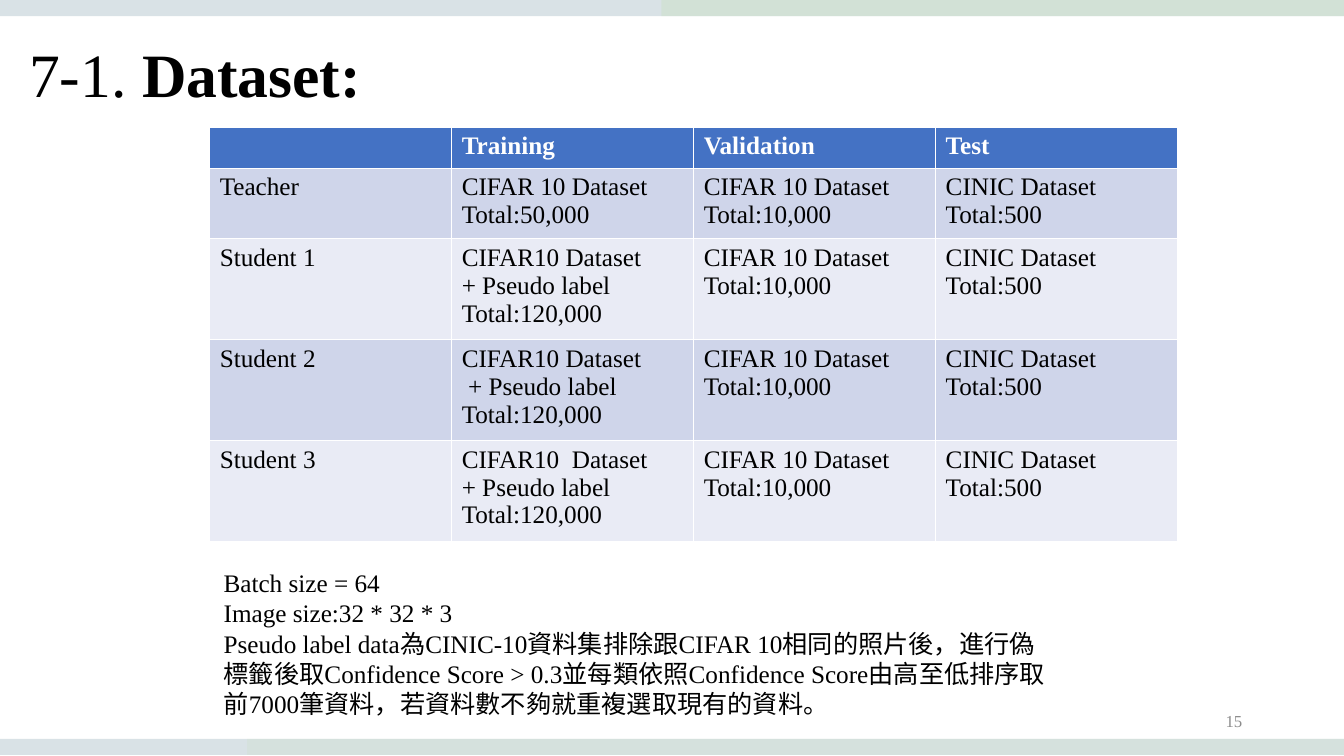
from lxml import etree
from pptx import Presentation
from pptx import util as u
from pptx.dml.color import RGBColor
from pptx.enum import shapes, text
from pptx.oxml import ns

WIDTH, HEIGHT = 13.33, 7.5
FONT = "Times New Roman"
BLACK = RGBColor(0x00, 0x00, 0x00)
WHITE = RGBColor(0xFF, 0xFF, 0xFF)
GREY = RGBColor(0x8C, 0x8C, 0x8C)
NAVY = RGBColor(0x00, 0x3D, 0x59)
GREEN = RGBColor(0xC5, 0xE0, 0xB4)
HEADER = RGBColor(0x44, 0x72, 0xC4)
BANDS = [RGBColor(0xE9, 0xEB, 0xF5), RGBColor(0xCF, 0xD5, 0xEA)]

TITLE = ["7-1.", " Dataset:"]
PAGE = "15"
VALIDATION = "CIFAR 10 Dataset\nTotal:10,000"
TEST = "CINIC Dataset\nTotal:500"
ROWS = [
    ["", "Training", "Validation", "Test"],
    ["Teacher", "CIFAR 10 Dataset\nTotal:50,000", VALIDATION, TEST],
    ["Student 1", "CIFAR10 Dataset\n+ Pseudo label\nTotal:120,000", VALIDATION, TEST],
    ["Student 2", "CIFAR10 Dataset\n + Pseudo label\nTotal:120,000", VALIDATION, TEST],
    ["Student 3", "CIFAR10  Dataset\n+ Pseudo label\nTotal:120,000", VALIDATION, TEST],
]
NOTES = [
    "Batch size = 64",
    "Image size:32 * 32 * 3",
    "Pseudo label data為CINIC-10資料集排除跟CIFAR 10相同的照片後，進行偽標籤後取"
    "Confidence Score > 0.3並每類依照Confidence Score由高至低排序取前7000筆資料，"
    "若資料數不夠就重複選取現有的資料。",
]
BAR_HEIGHT = 0.16
BARS = [
    (0, 7.33, NAVY, 15),
    (2.45, 7.33, GREEN, 16),
    (0, 0, NAVY, 15),
    (6.56, 0, GREEN, 30),
]
TABLE_LEFT, TABLE_TOP, COLUMN = 2.08, 1.26, 2.4
LINE, CELL_PADDING, MIN_ROW = 0.28, 0.1, 0.41


def style(tf, size, color, bold=False):
    for p in tf.paragraphs:
        for r in p.runs:
            r.font.name, r.font.size, r.font.bold = FONT, u.Pt(size), bold
            r.font.color.rgb = color


def add_text(slide, box, content, size, color, anchor=text.MSO_ANCHOR.TOP):
    tf = slide.shapes.add_textbox(*map(u.Inches, box)).text_frame
    tf.word_wrap = True
    tf.vertical_anchor = anchor
    tf.text = content
    style(tf, size, color)
    return tf


def add_bar(slide, left, top, color, opacity):
    sp = slide.shapes.add_shape(
        shapes.MSO_SHAPE.RECTANGLE,
        *map(u.Inches, (left, top, WIDTH - left, BAR_HEIGHT)))
    sp.shadow.inherit = False
    sp.line.fill.background()
    sp.fill.solid()
    sp.fill.fore_color.rgb = color
    tint = sp.fill._xPr.find(".//" + ns.qn("a:srgbClr"))
    etree.SubElement(tint, ns.qn("a:alpha"), val=str(opacity * 1000))


def add_dataset_table(slide):
    heights = [max(MIN_ROW, CELL_PADDING + LINE * max(c.count("\n") + 1 for c in row))
               for row in ROWS]
    columns = len(ROWS[0])
    table = slide.shapes.add_table(
        len(ROWS), columns,
        *map(u.Inches, (TABLE_LEFT, TABLE_TOP, columns * COLUMN, sum(heights)))).table
    for i, row in enumerate(ROWS):
        table.rows[i].height = u.Inches(heights[i])
        for j, content in enumerate(row):
            cell = table.cell(i, j)
            cell.text = content
            cell.fill.solid()
            cell.fill.fore_color.rgb = BANDS[i % 2] if i else HEADER
            style(cell.text_frame, 18, BLACK if i else WHITE, bold=i == 0)


def main():
    """Build the dataset slide."""
    prs = Presentation()
    prs.slide_width, prs.slide_height = u.Inches(WIDTH), u.Inches(HEIGHT)
    slide = prs.slides.add_slide(prs.slide_layouts[6])

    middle = text.MSO_ANCHOR.MIDDLE
    title = add_text(slide, (0.19, 0.04, 11.5, 1.45), TITLE[0], 44, BLACK, middle)
    p = title.paragraphs[0]
    p.line_spacing = 0.9
    r = p.add_run()
    r.text = TITLE[1]
    style(title, 44, BLACK)
    r.font.bold = True

    for bar in BARS:
        add_bar(slide, *bar)

    page = add_text(slide, (9.42, 6.95, 3, 0.4), PAGE, 12, GREY, middle)
    page.paragraphs[0].alignment = text.PP_ALIGN.RIGHT

    add_dataset_table(slide)
    add_text(slide, (2.12, 5.58, 8.37, 1.62), "\n".join(NOTES), 18, BLACK)
    prs.save("out.pptx")


if __name__ == "__main__":
    main()
